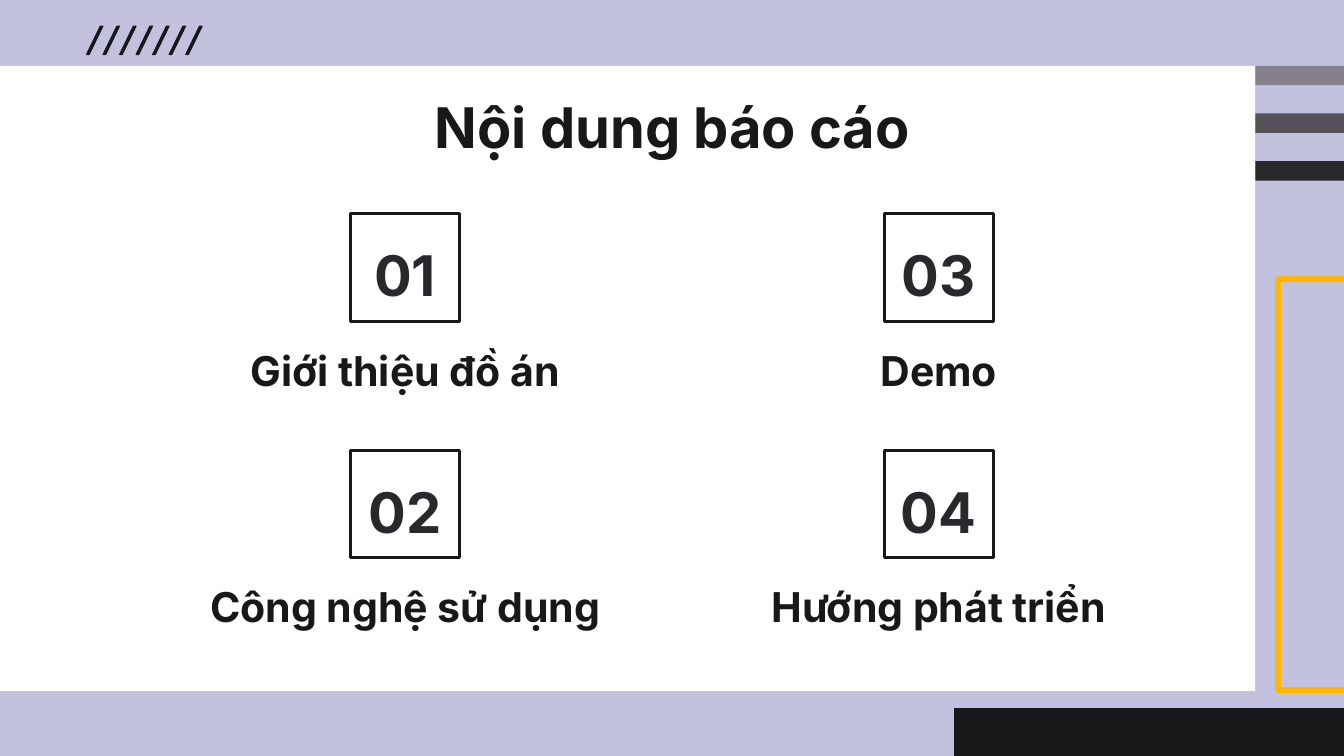
"""Build the agenda slide of a project report, with four numbered topics."""
import pptx
import pptx.dml.color
import pptx.enum.shapes
import pptx.enum.text
import pptx.oxml.ns
import pptx.util
from lxml import etree

INK, CHARCOAL, WHITE, AMBER, LILAC = "18181A", "29282C", "FFFFFF", "FFB700", "C2C2DF"
SHAPES = pptx.enum.shapes.MSO_SHAPE
ANCHORS = pptx.enum.text.MSO_ANCHOR

deck = pptx.Presentation()
deck.slide_width = pptx.util.Inches(10)
deck.slide_height = pptx.util.Inches(5.625)
page = deck.slides.add_slide(deck.slide_layouts[5])
unit = deck.slide_width / 100


def paint(target, colour):
    target.solid()
    target.fore_color.rgb = pptx.dml.color.RGBColor.from_string(colour)


def draw(kind, left, top, width, height, fill=None, line=None, weight=0.75):
    area = [round(length * unit) for length in (left, top, width, height)]
    shape = page.shapes.add_shape(kind, *area)
    shape.shadow.inherit = False
    if fill:
        paint(shape.fill, fill)
    else:
        shape.fill.background()
    if line:
        paint(shape.line.fill, line)
        shape.line.width = pptx.util.Pt(weight)
        outline = shape.element.spPr.find(pptx.oxml.ns.qn("a:ln"))
        etree.SubElement(outline, pptx.oxml.ns.qn("a:round"))
    else:
        shape.line.fill.background()
    return shape


paint(page.background.fill, LILAC)
draw(SHAPES.RECTANGLE, 0, 4.9, 93.4, 46.5, WHITE)
for index in range(7):
    slash = draw(SHAPES.PARALLELOGRAM, 6.45 + 1.23 * index, 1.95, 1.2, 2.1, INK, INK)
    slash.adjustments[0] = 0.85
for index, colour in enumerate(("86808A", "575259", CHARCOAL)):
    draw(SHAPES.RECTANGLE, 93.4, 4.9 + 3.55 * index, 6.6, 1.45, colour)
draw(SHAPES.RECTANGLE, 95.1, 20.75, 9.9, 30.6, line=AMBER, weight=3)
draw(SHAPES.RECTANGLE, 71, 52.7, 29, 3.55, INK)

title = page.shapes.title
title.left, title.top = round(7.9 * unit), round(5.9 * unit)
title.width, title.height = round(84.3 * unit), round(6.3 * unit)
page.shapes.element.append(title.element)
texts = [(title, "Nội dung báo cáo", 30, INK, ANCHORS.TOP)]

topics = ("Giới thiệu đồ án", "Công nghệ sử dụng", "Demo", "Hướng phát triển")
for index, topic in enumerate(topics):
    column, row = divmod(index, 2)
    centre = 30.15 + 39.7 * column
    top = 15.9 + 17.6 * row
    square = draw(SHAPES.RECTANGLE, centre - 4.05, top, 8.1, 8, WHITE, INK, 1.5)
    area = [round(length * unit) for length in (centre - 15.65, top + 9.15, 31.3, 5.3)]
    caption = page.shapes.add_textbox(*area)
    texts.append((square, f"{index + 1:02}", 30, CHARCOAL, ANCHORS.BOTTOM))
    texts.append((caption, topic, 22, INK, ANCHORS.BOTTOM))

for box, words, size, colour, anchor in texts:
    frame = box.text_frame
    frame.word_wrap = True
    frame.auto_size = pptx.enum.text.MSO_AUTO_SIZE.NONE
    frame.vertical_anchor = anchor
    frame.margin_left = frame.margin_right = pptx.util.Inches(0.1)
    frame.margin_top = frame.margin_bottom = pptx.util.Inches(0.1)
    para = frame.paragraphs[0]
    para.alignment = pptx.enum.text.PP_ALIGN.CENTER
    span = para.add_run()
    span.text = words
    span.font.name = "Inter"
    span.font.size = pptx.util.Pt(size)
    span.font.bold = True
    paint(span.font.fill, colour)

deck.save("out.pptx")
